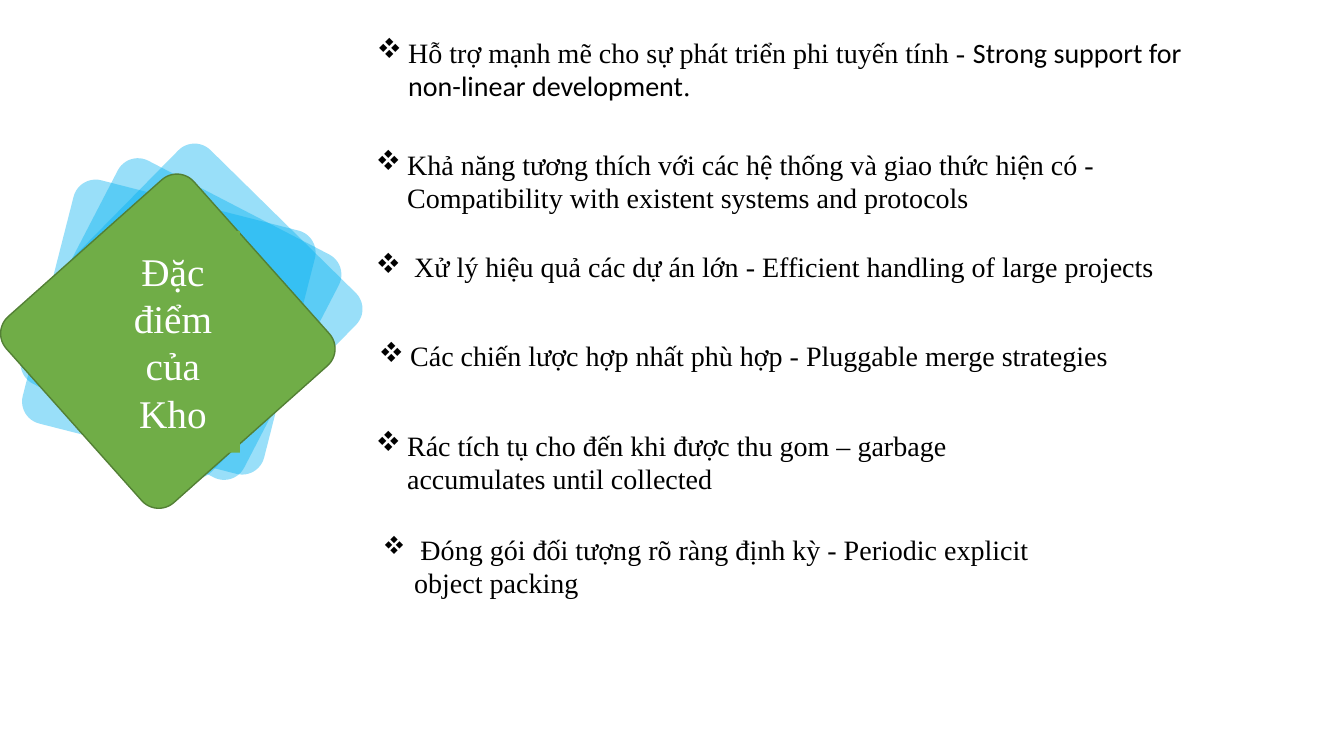
from lxml import etree
from pptx import Presentation
from pptx.dml.color import RGBColor
from pptx.enum.shapes import MSO_SHAPE as Preset
from pptx.enum.text import MSO_ANCHOR as Anchor, MSO_AUTO_SIZE as AutoSize, PP_ALIGN as Align
from pptx.oxml.ns import qn
from pptx.util import Inches, Pt

COLORS = {"blue": "00B0F0", "green": "70AD47", "edge": "538035",
          "white": "FFFFFF", "black": "000000"}
SERIF, SANS = "Times New Roman", "Calibri"
DIAMOND_SIZE = (2.49, 2.47)
BULLET_INDENT = Inches(0.31)


def color(name):
    return RGBColor.from_string(COLORS[name])


def add_run(paragraph, text, size, font, color_name):
    run = paragraph.add_run()
    run.text = text
    run.font.size = Pt(size)
    run.font.name = font
    run.font.color.rgb = color(color_name)


presentation = Presentation()
presentation.slide_width = Inches(13.33)
presentation.slide_height = Inches(7.5)
slide = presentation.slides.add_slide(presentation.slide_layouts[5])

# Fan of rounded diamonds: left, top, rotation, fill
diamonds = [
    (0.69, 1.85, 314.5, "blue"),
    (0.55, 1.93, 297.4, "blue"),
    (0.43, 2.01, 284.3, "blue"),
    (0.42, 2.15, 318.3, "green"),
]
for left, top, rotation, fill in diamonds:
    diamond = slide.shapes.add_shape(
        Preset.ROUNDED_RECTANGLE, *map(Inches, (left, top, *DIAMOND_SIZE)))
    diamond.shadow.inherit = False
    diamond.adjustments[0] = 0.091
    diamond.rotation = rotation
    diamond.fill.solid()
    diamond.fill.fore_color.rgb = color(fill)
    if fill == "blue":
        diamond.line.fill.background()
        fill_color = diamond.fill._xPr.find(qn("a:solidFill"))[0]
        etree.SubElement(fill_color, qn("a:alpha"), val="40000")
    else:
        diamond.line.color.rgb = color("edge")
        diamond.line.width = Pt(1)

# Title, brought in front of the diamonds
title = slide.shapes.title
slide.shapes._spTree.append(title._element)
title.left, title.top, title.width, title.height = map(Inches, (1.05, 2.29, 1.33, 2.2))
title.fill.solid()
title.fill.fore_color.rgb = color("green")
title_frame = title.text_frame
title_frame.auto_size = AutoSize.NONE
title_frame.word_wrap = True
title_frame.vertical_anchor = Anchor.MIDDLE
for index, word in enumerate(["Đặc", "điểm", "của", "Kho"]):
    paragraph = title_frame.add_paragraph() if index else title_frame.paragraphs[0]
    paragraph.alignment = Align.CENTER
    add_run(paragraph, word, 28, SERIF, "white")

# Features: left, top, width, height, runs of (text, size, font)
features = [
    (3.64, 0.3, 8.65, 0.77, [
        ("Hỗ trợ mạnh mẽ cho sự phát triển phi tuyến tính - ", 20, SERIF),
        ("Strong support for non-linear development", 20, SANS),
        (".", 20, SERIF)]),
    (3.63, 1.41, 8.43, 0.77, [
        ("Khả năng tương thích với các hệ thống và giao thức hiện có - "
         "Compatibility with existent systems and protocols", 20, SERIF)]),
    (3.63, 2.43, 8.55, 0.44, [
        (" Xử lý hiệu quả các dự án lớn - Efficient handling of large projects", 20, SERIF)]),
    (3.66, 3.31, 8.42, 0.44, [
        ("Các chiến lược hợp nhất phù hợp - Pluggable merge strategies", 20, SERIF)]),
    (3.63, 4.2, 6.77, 0.77, [
        ("Rác tích tụ cho đến khi được thu gom – garbage accumulates until collected",
         20, SERIF)]),
    (3.7, 5.23, 6.77, 1.11, [
        (" ", 18, SERIF),
        ("Đóng gói đối tượng rõ ràng định kỳ - Periodic explicit object packing", 20, SERIF)]),
]
for *box, runs in features:
    feature = slide.shapes.add_textbox(*map(Inches, box))
    feature_frame = feature.text_frame
    feature_frame.word_wrap = True
    feature_frame.auto_size = AutoSize.SHAPE_TO_FIT_TEXT
    paragraph = feature_frame.paragraphs[0]
    properties = paragraph._p.get_or_add_pPr()
    properties.set("marL", str(BULLET_INDENT))
    properties.set("indent", str(-BULLET_INDENT))
    # In Wingdings the letter v is the four-diamond bullet
    etree.SubElement(properties, qn("a:buFont"), typeface="Wingdings", charset="2")
    etree.SubElement(properties, qn("a:buChar"), char="v")
    for text, size, font in runs:
        add_run(paragraph, text, size, font, "black")

presentation.save("out.pptx")
